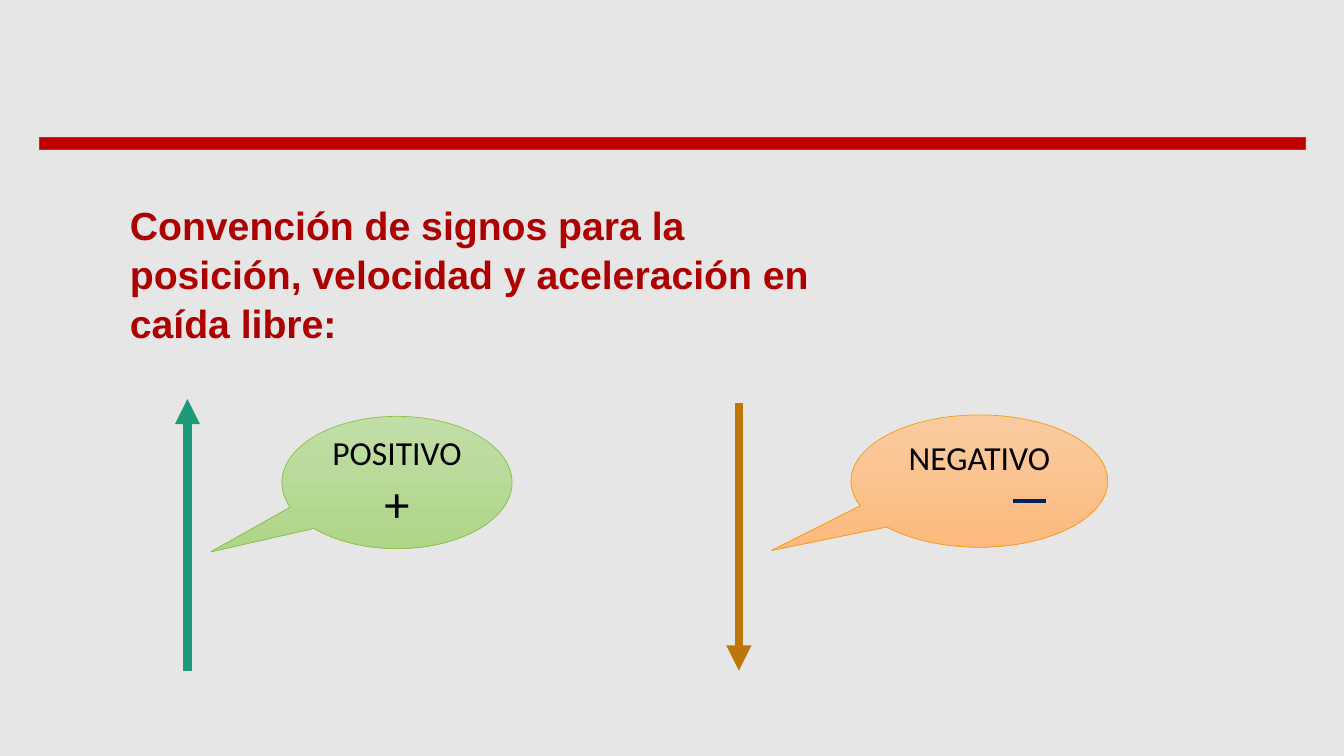
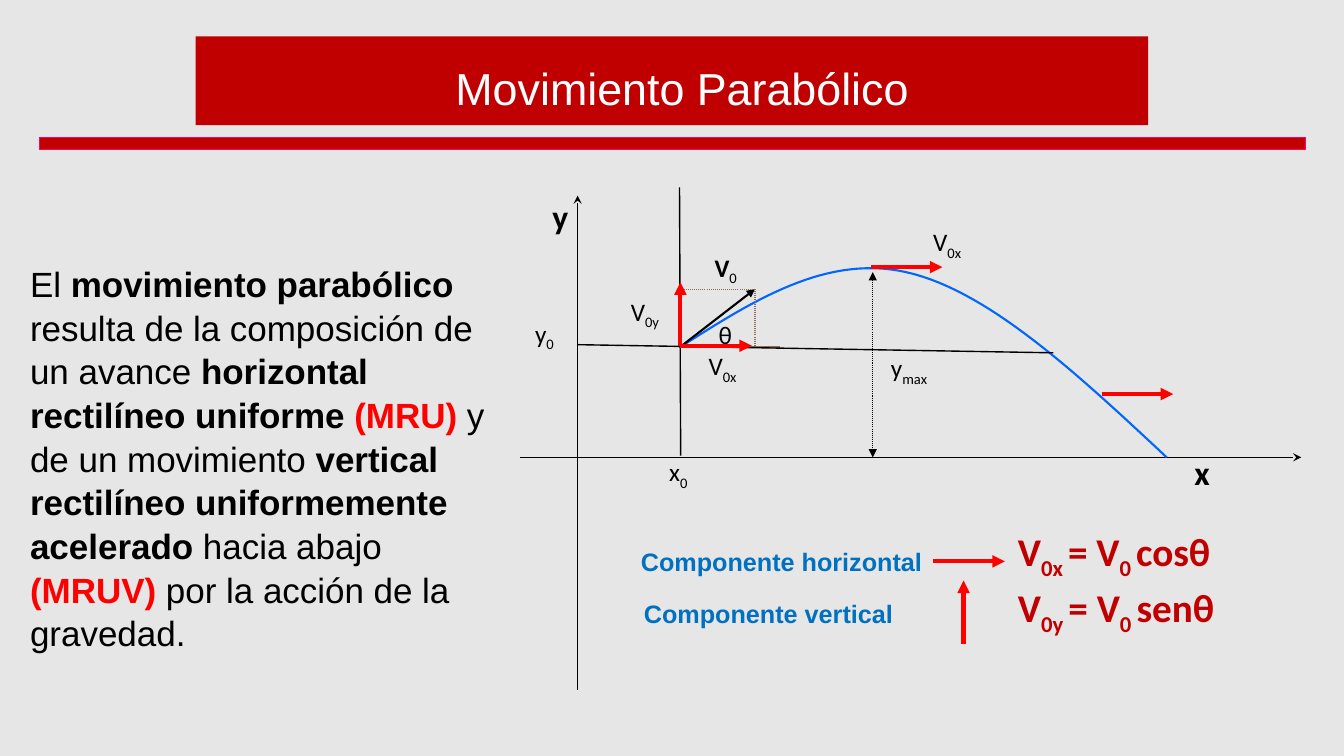
"""Build two physics slides: sign convention in free fall and parabolic motion."""
from lxml.etree import SubElement
from pptx import Presentation
from pptx.dml.color import RGBColor
from pptx.enum.dml import MSO_LINE
from pptx.enum.shapes import MSO_CONNECTOR, MSO_SHAPE
from pptx.enum.text import MSO_ANCHOR, PP_ALIGN
from pptx.oxml.ns import qn
from pptx.util import Pt

BACKGROUND = RGBColor(0xE7, 0xE6, 0xE6)
BLACK = RGBColor(0x00, 0x00, 0x00)
WHITE = RGBColor(0xFF, 0xFF, 0xFF)
BAND_RED = RGBColor(0xC0, 0x00, 0x00)
BAND_EDGE = RGBColor(0xFF, 0x00, 0x66)
HEADING_RED = RGBColor(0xAD, 0x00, 0x00)
VECTOR_RED = RGBColor(0xFF, 0x00, 0x00)
CURVE_BLUE = RGBColor(0x00, 0x66, 0xFF)
CAPTION_BLUE = RGBColor(0x00, 0x70, 0xC0)
NAVY = RGBColor(0x00, 0x20, 0x60)
GUIDE_BROWN = RGBColor(0x90, 0x6D, 0x58)
UP_GREEN = RGBColor(0x1D, 0x9A, 0x78)
DOWN_OCHRE = RGBColor(0xBC, 0x77, 0x0B)
GREEN_EDGE = RGBColor(0x8B, 0xC1, 0x45)
GREEN_STOPS = RGBColor(0xC2, 0xDE, 0xA8), RGBColor(0xAE, 0xD5, 0x88)
ORANGE_EDGE = RGBColor(0xF1, 0x9D, 0x19)
ORANGE_STOPS = RGBColor(0xFA, 0xCB, 0xA0), RGBColor(0xFC, 0xBA, 0x7D)

BOLD = {"bold": True}
SUBSCRIPT = {"baseline": "-25000"}
LABEL = {"name": "Calibri", "size": Pt(18), "color": BLACK}
AXIS_NAME = LABEL | BOLD | {"size": Pt(24)}
FORMULA = LABEL | BOLD | {"size": Pt(28), "color": BAND_RED}
CAPTION = {"name": "Arial", "size": Pt(18), "color": CAPTION_BLUE} | BOLD
HEADING = {"name": "Arial", "size": Pt(28), "color": HEADING_RED} | BOLD
TITLE = {"name": "Arial", "size": Pt(32), "color": WHITE}
BODY = {"name": "Arial", "size": Pt(25), "color": BLACK}
ACRONYM = BOLD | {"color": VECTOR_RED}
CALLOUT = {"name": "Calibri", "size": Pt(24), "color": BLACK}


class Deck:
    def __init__(self):
        self.presentation = Presentation()
        self.presentation.slide_width = Pt(960)
        self.presentation.slide_height = Pt(540)
        self.slide = None

    def new_slide(self):
        self.slide = self.presentation.slides.add_slide(self.presentation.slide_layouts[6])
        fill = self.slide.background.fill
        fill.solid()
        fill.fore_color.rgb = BACKGROUND
        band = self.rectangle(28, 97.9, 904.4, 8.6)
        band.line.color.rgb = BAND_EDGE
        band.line.width = Pt(0.25)
        band.line.dash_style = MSO_LINE.ROUND_DOT

    def rectangle(self, left, top, width, height):
        shape = self.preset(MSO_SHAPE.RECTANGLE, left, top, width, height)
        shape.fill.solid()
        shape.fill.fore_color.rgb = BAND_RED
        shape.line.fill.background()
        return shape

    def preset(self, kind, left, top, width, height):
        shape = self.slide.shapes.add_shape(kind, Pt(left), Pt(top), Pt(width), Pt(height))
        shape.shadow.inherit = False
        return shape

    def add_runs(self, paragraph, runs, style):
        for text, changes in runs:
            run = paragraph.add_run()
            run.text = text
            for name, value in (style | changes).items():
                if name == "color":
                    run.font.color.rgb = value
                elif name == "baseline":
                    run.font._element.set(name, value)
                else:
                    setattr(run.font, name, value)

    def text(self, left, top, width, height, runs, style, spacing=None):
        box = self.slide.shapes.add_textbox(Pt(left), Pt(top), Pt(width), Pt(height))
        box.text_frame.word_wrap = True
        paragraph = box.text_frame.paragraphs[0]
        paragraph.line_spacing = spacing
        self.add_runs(paragraph, runs, style)

    def label(self, left, top, width, name, subscript="", style=LABEL):
        runs = [(name, {})]
        if subscript:
            runs.append((subscript, SUBSCRIPT | {"bold": False}))
        self.text(left, top, width, 31, runs, style)

    def title(self, text):
        shape = self.rectangle(139.7, 25.9, 680.4, 63.4)
        frame = shape.text_frame
        frame.vertical_anchor = MSO_ANCHOR.MIDDLE
        frame.margin_left = Pt(22)
        frame.margin_top = Pt(14)
        frame.paragraphs[0].alignment = PP_ALIGN.CENTER
        self.add_runs(frame.paragraphs[0], [(text, {})], TITLE)

    def callout(self, left, top, width, lines, stops, edge, margin_bottom=3.6):
        shape = self.preset(MSO_SHAPE.OVAL_CALLOUT, left, top, width, 94.5)
        shape.adjustments[0] = -0.81
        shape.adjustments[1] = 0.525
        shape.fill.gradient()
        shape.fill.gradient_angle = 270
        for position, (stop, color) in enumerate(zip(shape.fill.gradient_stops, stops)):
            stop.position = position
            stop.color.rgb = color
        shape.line.color.rgb = edge
        shape.line.width = Pt(0.5)
        frame = shape.text_frame
        frame.vertical_anchor = MSO_ANCHOR.MIDDLE
        frame.margin_bottom = Pt(margin_bottom)
        for index, (text, size) in enumerate(lines):
            paragraph = frame.add_paragraph() if index else frame.paragraphs[0]
            paragraph.alignment = PP_ALIGN.CENTER
            self.add_runs(paragraph, [(text, {"size": Pt(size)})], CALLOUT)

    def line(self, start, end, color=BLACK, width=1.0, head=None, tail=None, dash=None):
        connector = self.slide.shapes.add_connector(
            MSO_CONNECTOR.STRAIGHT, *map(Pt, start), *map(Pt, end))
        connector.line.color.rgb = color
        connector.line.width = Pt(width)
        connector.line.dash_style = dash
        outline = connector.line._get_or_add_ln()
        for tag, kind in (("a:headEnd", head), ("a:tailEnd", tail)):
            if kind:
                SubElement(outline, qn(tag)).set("type", kind)
        SubElement(connector._element.spPr, qn("a:effectLst"))

    def vector(self, left, top, across=0, up=0):
        self.line((left, top), (left + across, top - up), VECTOR_RED, 3, tail="triangle")

    def curve(self, start, segments, color, width, steps=30):
        points = []
        origin = start
        for first, second, end in segments:
            for step in range(1, steps + 1):
                t = step / steps
                weights = (1 - t) ** 3, 3 * t * (1 - t) ** 2, 3 * t * t * (1 - t), t ** 3
                points.append(tuple(
                    Pt(sum(weight * value for weight, value in zip(weights, values)))
                    for values in zip(origin, first, second, end)))
            origin = end
        builder = self.slide.shapes.build_freeform(*map(Pt, start))
        builder.add_line_segments(points, close=False)
        shape = builder.convert_to_shape()
        shape.shadow.inherit = False
        shape.fill.background()
        shape.line.color.rgb = color
        shape.line.width = Pt(width)


def sign_convention(deck):
    deck.new_slide()
    heading = "Convención de signos para la posición, velocidad y aceleración en caída libre:"
    deck.text(85.7, 139, 522, 108.7, [(heading, {})], HEADING, 1.04)
    deck.line((527.8, 288), (527.8, 479), DOWN_OCHRE, 6, tail="triangle")
    deck.line((133.9, 479), (133.9, 285), UP_GREEN, 6, tail="triangle")
    deck.callout(201.4, 297.4, 164.4, [("POSITIVO", 24), ("+", 36)], GREEN_STOPS, GREEN_EDGE)
    deck.callout(607.9, 296.4, 183.4, [("NEGATIVO", 24)], ORANGE_STOPS, ORANGE_EDGE, 37.8)
    deck.line((723.6, 357.8), (747, 357.8), NAVY, 3)


def parabolic_motion(deck):
    deck.new_slide()
    deck.text(14.4, 182.9, 344.9, 280, [
        ("El ", {}),
        ("movimiento parabólico ", BOLD),
        ("resulta de la composición de un avance ", {}),
        ("horizontal rectilíneo uniforme ", BOLD),
        ("(MRU) ", ACRONYM),
        ("y de un movimiento ", {}),
        ("vertical rectilíneo uniformemente acelerado ", BOLD),
        ("hacia abajo ", {}),
        ("(MRUV) ", ACRONYM),
        ("por la acción de la gravedad.", {}),
    ], BODY, 1.04)
    deck.title("Movimiento Parabólico")

    launch, tip, ground = (485.4, 248.2), (539.3, 206.5), 326.7
    deck.line((485.4, 133.8), (486.2, 325.4))
    deck.line((371.5, ground), (929.5, ground), tail="stealth")
    deck.curve(launch, [
        ((537.1, 215.3), (589.7, 181.4), (647.3, 194.4)),
        ((705.6, 207.4), (769.7, 267.1), (833.4, ground)),
    ], CURVE_BLUE, 1.5)
    deck.line((623.4, 194.4), (623.4, ground), BLACK, 0.75, "triangle", "triangle",
              MSO_LINE.ROUND_DOT)
    deck.line(launch, tip, BLACK, 1.5, tail="triangle")
    deck.line(launch, (557.3, launch[1]), GUIDE_BROWN, 1.5)
    for corner in ((tip[0], launch[1]), (launch[0], tip[1])):
        deck.line(tip, corner, GUIDE_BROWN, 0.75, dash=MSO_LINE.ROUND_DOT)
    deck.line((412.6, 139.7), (412.6, 493.2), head="stealth")
    deck.line((412.6, 246.2), (752.4, 252))

    for left, top, width, name, subscript, style in (
        (503.3, 176.4, 41.8, "V", "0", LABEL | BOLD),
        (659.5, 158.4, 48.2, "V", "0x", LABEL),
        (629.3, 248.4, 54, "y", "max", LABEL),
        (499, 247, 41.8, "V", "0x", LABEL),
        (443.5, 208, 54, "V", "0y", LABEL),
        (506.2, 224.6, 41.8, "θ", "", LABEL),
        (470.9, 322.6, 48.2, "x", "0", LABEL),
        (375.1, 223.9, 48.2, "y", "0", LABEL),
        (846, 319, 28.8, "x", "", AXIS_NAME),
        (387.4, 136.1, 32.4, "y", "", AXIS_NAME),
    ):
        deck.label(left, top, width, name, subscript, style)

    for left, top in ((486, 247), (622.1, 190.8), (787, 281.5), (666.7, 401)):
        deck.vector(left, top, across=51.1)
    for left, top in ((486, 247), (688.3, 460)):
        deck.vector(left, top, up=45.4)

    for row, (left, caption, component, function) in enumerate((
        (450.7, "Componente horizontal", "0x ", "cosθ"),
        (452.9, "Componente vertical", "0y ", "senθ"),
    )):
        deck.text(left, 386.6 + 37.4 * row, 218.2, 28.8, [(caption, {})], CAPTION)
        deck.text(720, 373 + 40.3 * row, 170, 41, [
            ("V", {}), (component, SUBSCRIPT), ("= V", {}), ("0 ", SUBSCRIPT), (function, {}),
        ], FORMULA)


def main():
    deck = Deck()
    sign_convention(deck)
    parabolic_motion(deck)
    deck.presentation.save("out.pptx")


if __name__ == "__main__":
    main()
